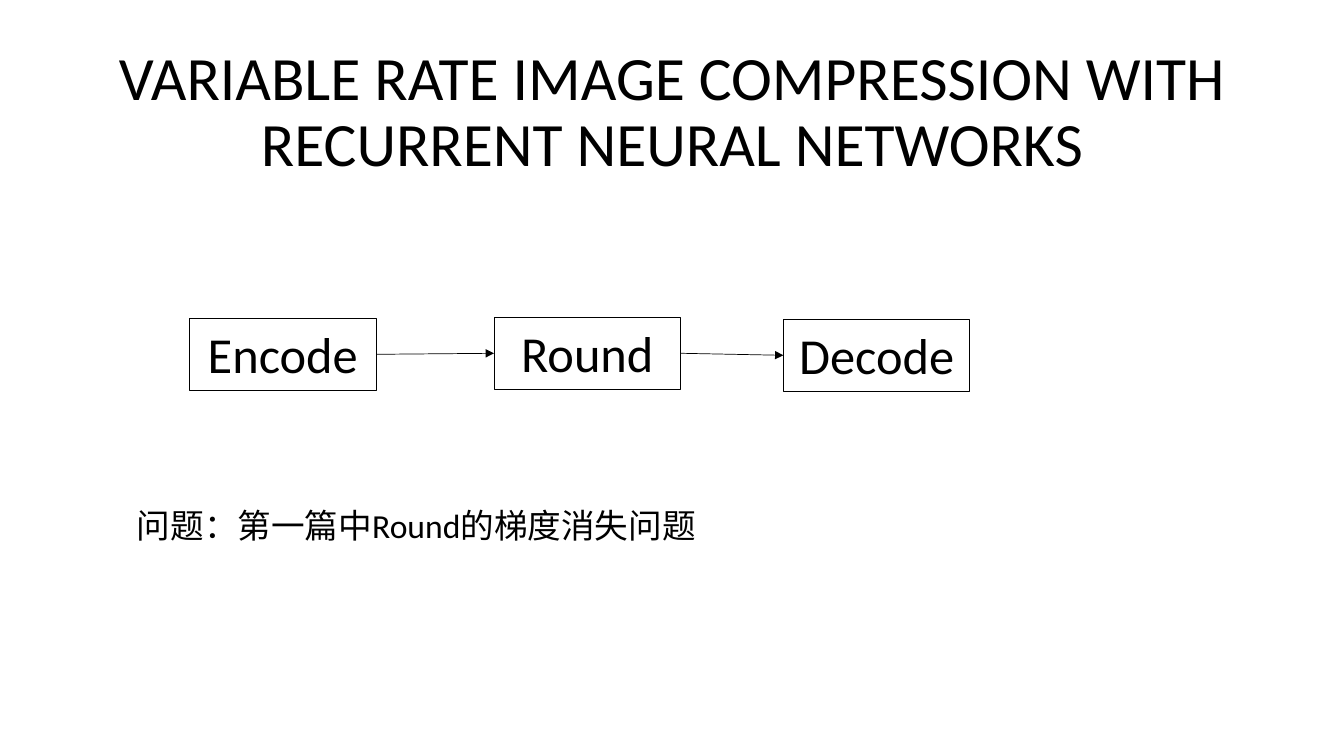
from dataclasses import dataclass

from pptx import Presentation
from pptx.dml.color import RGBColor
from pptx.enum import shapes, text
from pptx.oxml.ns import qn
from pptx.util import Inches, Pt


@dataclass(frozen=True)
class Theme:
    font: str = "Calibri"
    ink: RGBColor = RGBColor(0, 0, 0)
    paper: RGBColor = RGBColor(255, 255, 255)
    title: int = 44
    stage: int = 36
    note: int = 24
    border: float = 0.75
    arrow: float = 0.5


THEME = Theme()


def write(sp, content, size, align=text.PP_ALIGN.LEFT,
          anchor=text.MSO_ANCHOR.TOP, spacing=None, grow=False):
    tf = sp.text_frame
    tf.word_wrap = True
    tf.vertical_anchor = anchor
    if grow:
        tf.auto_size = text.MSO_AUTO_SIZE.SHAPE_TO_FIT_TEXT
    p = tf.paragraphs[0]
    p.alignment = align
    p.line_spacing = spacing
    r = p.add_run()
    r.text = content
    r.font.name = THEME.font
    r.font.size = Pt(size)
    r.font.color.rgb = THEME.ink


def add_text(s, box, content, size, **fmt):
    sp = s.shapes.add_textbox(*map(Inches, box))
    write(sp, content, size, **fmt)


def add_stage(s, box, label, filled):
    sp = s.shapes.add_shape(shapes.MSO_SHAPE.RECTANGLE, *map(Inches, box))
    sp.shadow.inherit = False
    if filled:
        sp.fill.solid()
        sp.fill.fore_color.rgb = THEME.paper
    else:
        sp.fill.background()
    sp.line.color.rgb = THEME.ink
    sp.line.width = Pt(THEME.border)
    write(sp, label, THEME.stage, align=text.PP_ALIGN.CENTER, grow=True)
    return sp


def add_arrow(s, start, end):
    c = s.shapes.add_connector(shapes.MSO_CONNECTOR.STRAIGHT, 0, 0, 0, 0)
    c.begin_connect(start, 3)
    c.end_connect(end, 1)
    c.line.color.rgb = THEME.ink
    c.line.width = Pt(THEME.arrow)
    ln = c.line._get_or_add_ln()
    ln.append(ln.makeelement(qn("a:tailEnd"), {"type": "triangle"}))
    props = c._element.spPr
    props.append(props.makeelement(qn("a:effectLst"), {}))


def add_pipeline(s, box):
    left, top, width, height = box
    stages = [
        add_stage(s, (left + dx, top + dy, width, height), label, filled)
        for label, dx, dy, filled in (
            ("Encode", 0, 0.01, False),
            ("Round", 3.02, 0, True),
            ("Decode", 5.89, 0.02, False),
        )
    ]
    for start, end in zip(stages, stages[1:]):
        add_arrow(s, start, end)


def main():
    prs = Presentation()
    prs.slide_width, prs.slide_height = Inches(13.33), Inches(7.5)
    s = prs.slides.add_slide(prs.slide_layouts[6])
    add_text(s, (0.92, 0.4, 11.5, 1.45),
             "VARIABLE RATE IMAGE COMPRESSION WITH RECURRENT NEURAL NETWORKS",
             THEME.title, align=text.PP_ALIGN.CENTER,
             anchor=text.MSO_ANCHOR.MIDDLE, spacing=0.9)
    add_pipeline(s, (1.88, 3.15, 1.85, 0.71))
    add_text(s, (1.26, 4.96, 10.81, 0.5),
             "问题：第一篇中Round的梯度消失问题", THEME.note, grow=True)
    prs.save("out.pptx")


if __name__ == "__main__":
    main()
